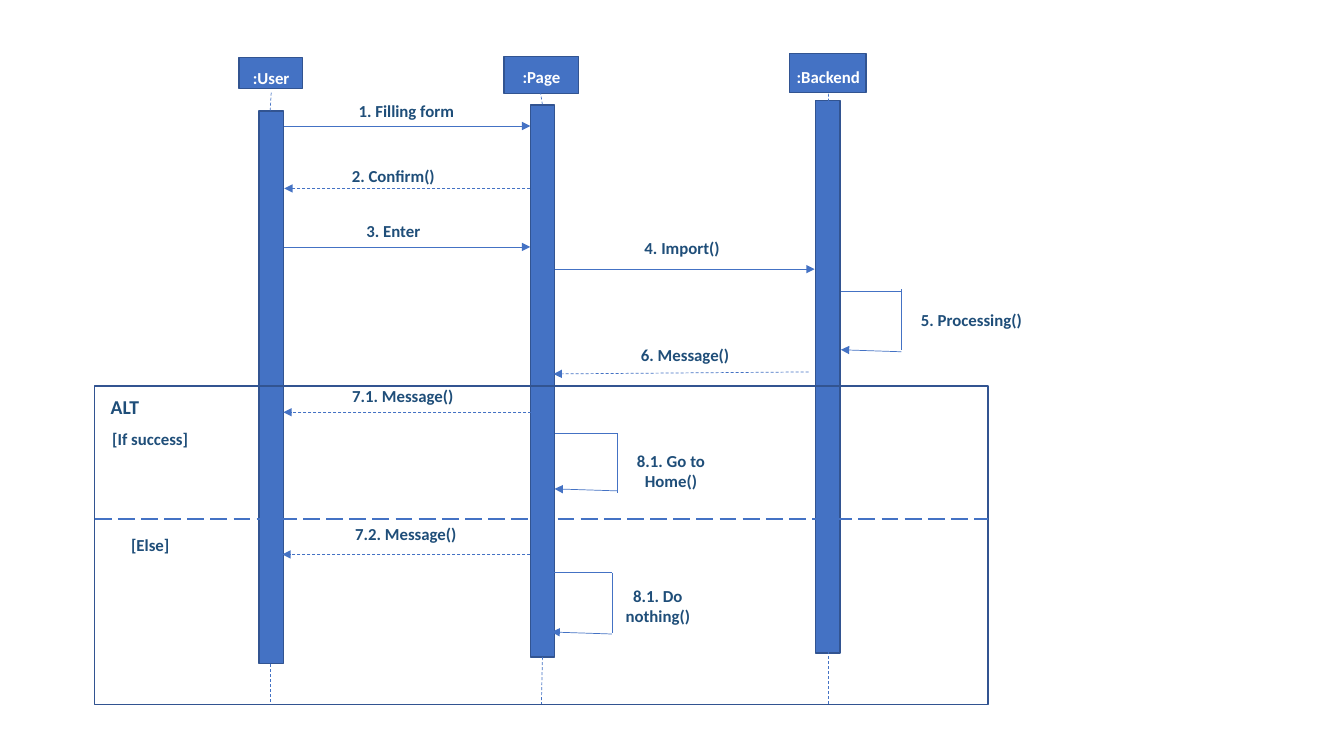
from dataclasses import dataclass

from lxml.etree import SubElement
from pptx import Presentation
from pptx.dml.color import RGBColor
from pptx.enum.dml import MSO_LINE
from pptx.enum.shapes import MSO_CONNECTOR, MSO_SHAPE
from pptx.enum.text import MSO_AUTO_SIZE, PP_ALIGN
from pptx.oxml.ns import qn
from pptx.util import Inches, Pt

BLUE = RGBColor(0x44, 0x72, 0xC4)
OUTLINE = RGBColor(0x32, 0x54, 0x91)
NAVY = RGBColor(0x1F, 0x4E, 0x79)
WHITE = RGBColor(0xFF, 0xFF, 0xFF)

BAR_WIDTH, BAR_HEIGHT = 0.24, 5.48
FRAME_LEFT, FRAME_TOP, FRAME_WIDTH, FRAME_HEIGHT = 0.94, 3.83, 8.86, 3.16
DIVIDER_Y = 5.15

Point = tuple[float, float]
Box = tuple[float, float, float, float]


@dataclass(frozen=True)
class Label:
    text: str
    left: float
    top: float
    width: float = 1.25
    height: float = 0.3
    size: int = 12
    color: RGBColor = NAVY


@dataclass(frozen=True)
class Participant:
    head: Box
    name: Label
    bar_left: float
    bar_top: float
    upper_lifeline: tuple[Point, Point]
    lower_lifeline: tuple[Point, Point]


@dataclass(frozen=True)
class Message:
    start: Point
    end: Point
    label: Label
    is_reply: bool = False


@dataclass(frozen=True)
class SelfCall:
    left: float
    right: float
    top: float
    side_top: float
    side_bottom: float
    return_y: float
    label: Label


PARTICIPANTS = [
    Participant((2.37, 0.57, 0.63, 0.31),
                Label(":User", 2.31, 0.62, 0.76, color=WHITE), 2.57, 1.1,
                ((2.69, 0.92), (2.68, 1.1)), ((2.68, 6.59), (2.68, 6.99))),
    Participant((5, 0.56, 0.74, 0.37),
                Label(":Page", 4.99, 0.61, 0.76, color=WHITE), 5.26, 1.04,
                ((5.36, 0.91), (5.38, 1.04)), ((5.38, 6.52), (5.37, 6.99))),
    Participant((7.83, 0.53, 0.76, 0.39),
                Label(":Backend", 7.78, 0.61, 0.87, color=WHITE), 8.09, 1,
                ((8.22, 0.88), (8.21, 1.28)), ((8.22, 6.46), (8.22, 7))),
]

MESSAGES = [
    Message((2.82, 1.25), (5.26, 1.25), Label("1. Filling form", 3.42, 0.95, 1.22)),
    Message((5.26, 1.87), (2.82, 1.87), Label("2. Confirm() ", 3.31, 1.6, 1.22), True),
    Message((2.82, 2.45), (5.26, 2.45), Label("3. Enter ", 3.31, 2.14, 1.22)),
    Message((5.5, 2.67), (8.08, 2.67), Label("4. Import()", 6.17, 2.31, 1.19)),
    Message((8.02, 3.69), (5.49, 3.71), Label("6. Message()", 6.17, 3.37), True),
    Message((5.27, 4.09), (2.81, 4.09), Label("7.1. Message()", 3.37, 3.78), True),
    Message((5.26, 5.5), (2.8, 5.5), Label("7.2. Message()", 3.4, 5.15), True),
]

SELF_CALLS = [
    SelfCall(8.34, 8.94, 2.89, 2.87, 3.47, 3.49, Label("5. Processing()", 9.01, 3.02)),
    SelfCall(5.5, 6.12, 4.3, 4.3, 4.89, 4.87,
             Label("8.1. Go to Home()", 6.03, 4.42, height=0.5)),
    SelfCall(5.47, 6.07, 5.68, 5.68, 6.28, 6.29,
             Label("8.1. Do nothing()", 5.9, 5.76, height=0.5)),
]

FRAME_LABELS = [
    Label("ALT", 0.91, 3.87, 0.66, 0.34, size=14),
    Label("[If success]", 0.88, 4.2, 1.22),
    Label("[Else]", 0.88, 5.26, 1.22),
]

presentation = Presentation()
presentation.slide_width = Inches(13.33)
presentation.slide_height = Inches(7.5)
slide = presentation.slides.add_slide(presentation.slide_layouts[6])


def draw_box(box: Box, filled: bool = True) -> None:
    shape = slide.shapes.add_shape(MSO_SHAPE.RECTANGLE, *map(Inches, box))
    shape.shadow.inherit = False
    if filled:
        shape.fill.solid()
        shape.fill.fore_color.rgb = BLUE
    else:
        shape.fill.background()
    shape.line.color.rgb = OUTLINE
    shape.line.width = Pt(1)


def draw_label(label: Label) -> None:
    box = (label.left, label.top, label.width, label.height)
    frame = slide.shapes.add_textbox(*map(Inches, box)).text_frame
    frame.word_wrap = True
    frame.auto_size = MSO_AUTO_SIZE.SHAPE_TO_FIT_TEXT
    paragraph = frame.paragraphs[0]
    paragraph.text = label.text
    paragraph.alignment = PP_ALIGN.CENTER
    paragraph.font.name = "Calibri"
    paragraph.font.size = Pt(label.size)
    paragraph.font.bold = True
    paragraph.font.color.rgb = label.color


def draw_line(start: Point, end: Point, dash: MSO_LINE | None = None,
              arrow: bool = False, width: float = 0.5) -> None:
    connector = slide.shapes.add_connector(
        MSO_CONNECTOR.STRAIGHT, *map(Inches, start + end))
    connector.line.color.rgb = BLUE
    connector.line.width = Pt(width)
    if dash is not None:
        connector.line.dash_style = dash
    properties = connector._element.spPr
    if arrow:
        SubElement(properties.find(qn("a:ln")), qn("a:tailEnd"), type="triangle")
    SubElement(properties, qn("a:effectLst"))


def draw_participant(participant: Participant) -> None:
    draw_box(participant.head)
    draw_label(participant.name)
    draw_box((participant.bar_left, participant.bar_top, BAR_WIDTH, BAR_HEIGHT))
    for lifeline in (participant.upper_lifeline, participant.lower_lifeline):
        draw_line(*lifeline, dash=MSO_LINE.DASH)


def draw_message(message: Message) -> None:
    dash = MSO_LINE.DASH if message.is_reply else None
    draw_line(message.start, message.end, dash, arrow=True)
    draw_label(message.label)


def draw_self_call(call: SelfCall) -> None:
    draw_line((call.left, call.top), (call.right, call.top))
    draw_line((call.right, call.side_top), (call.right, call.side_bottom))
    draw_line((call.right, call.return_y), (call.left, call.return_y - 0.02), arrow=True)
    draw_label(call.label)


for participant in PARTICIPANTS:
    draw_participant(participant)
for message in MESSAGES:
    draw_message(message)
for call in SELF_CALLS:
    draw_self_call(call)

draw_box((FRAME_LEFT, FRAME_TOP, FRAME_WIDTH, FRAME_HEIGHT), filled=False)
draw_line((FRAME_LEFT, DIVIDER_Y), (FRAME_LEFT + FRAME_WIDTH, DIVIDER_Y),
          MSO_LINE.LONG_DASH, width=1.5)
for label in FRAME_LABELS:
    draw_label(label)

presentation.save("out.pptx")
